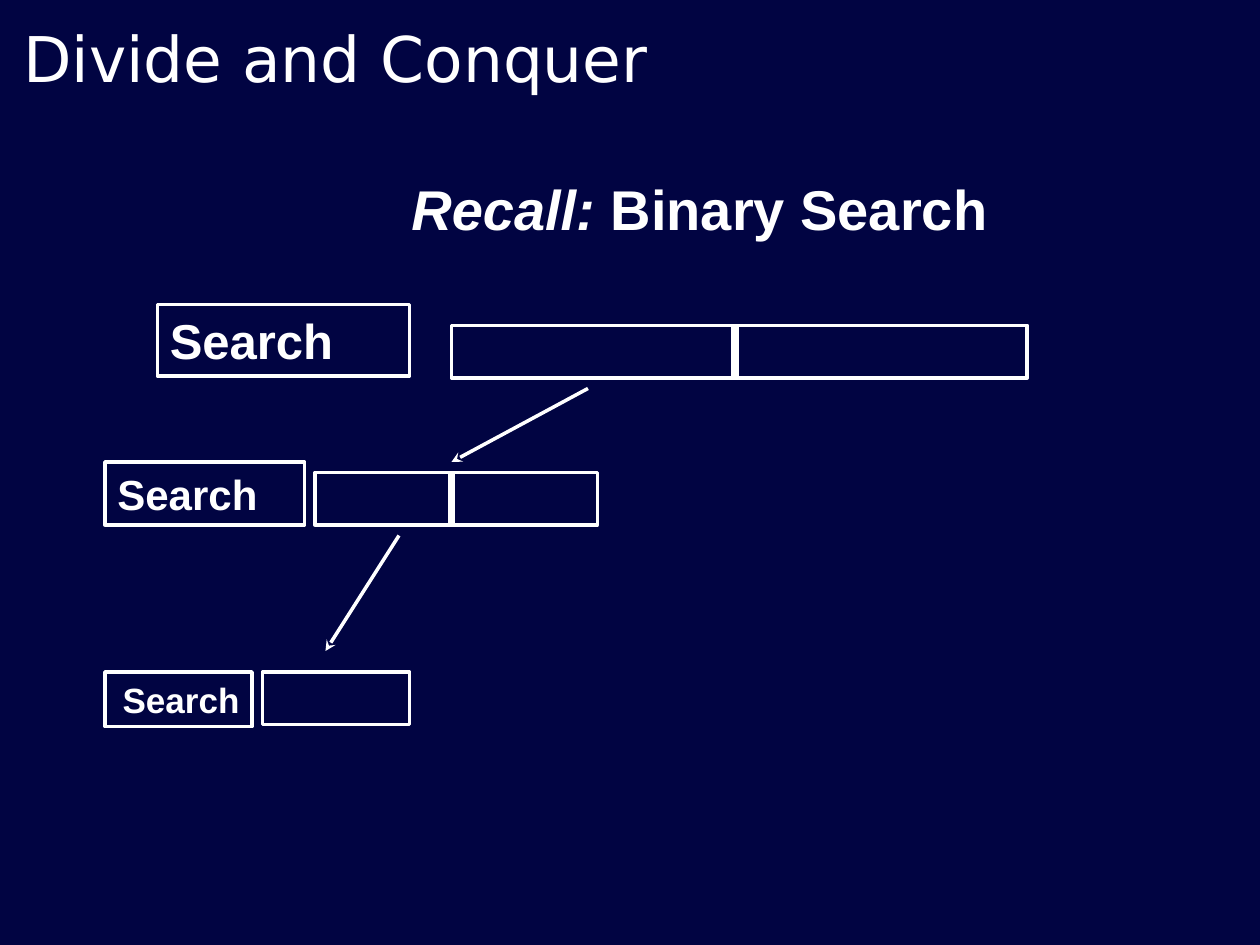
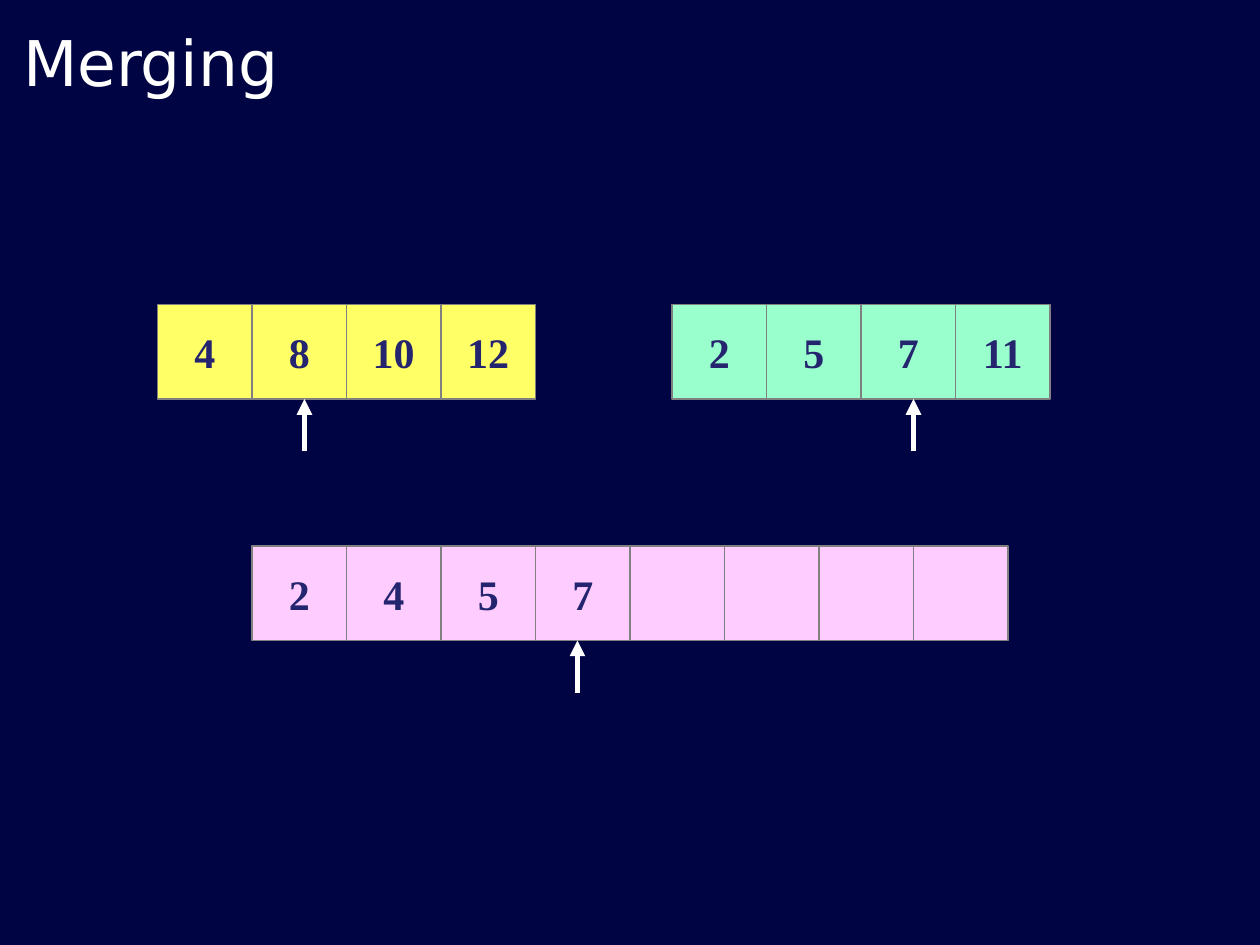
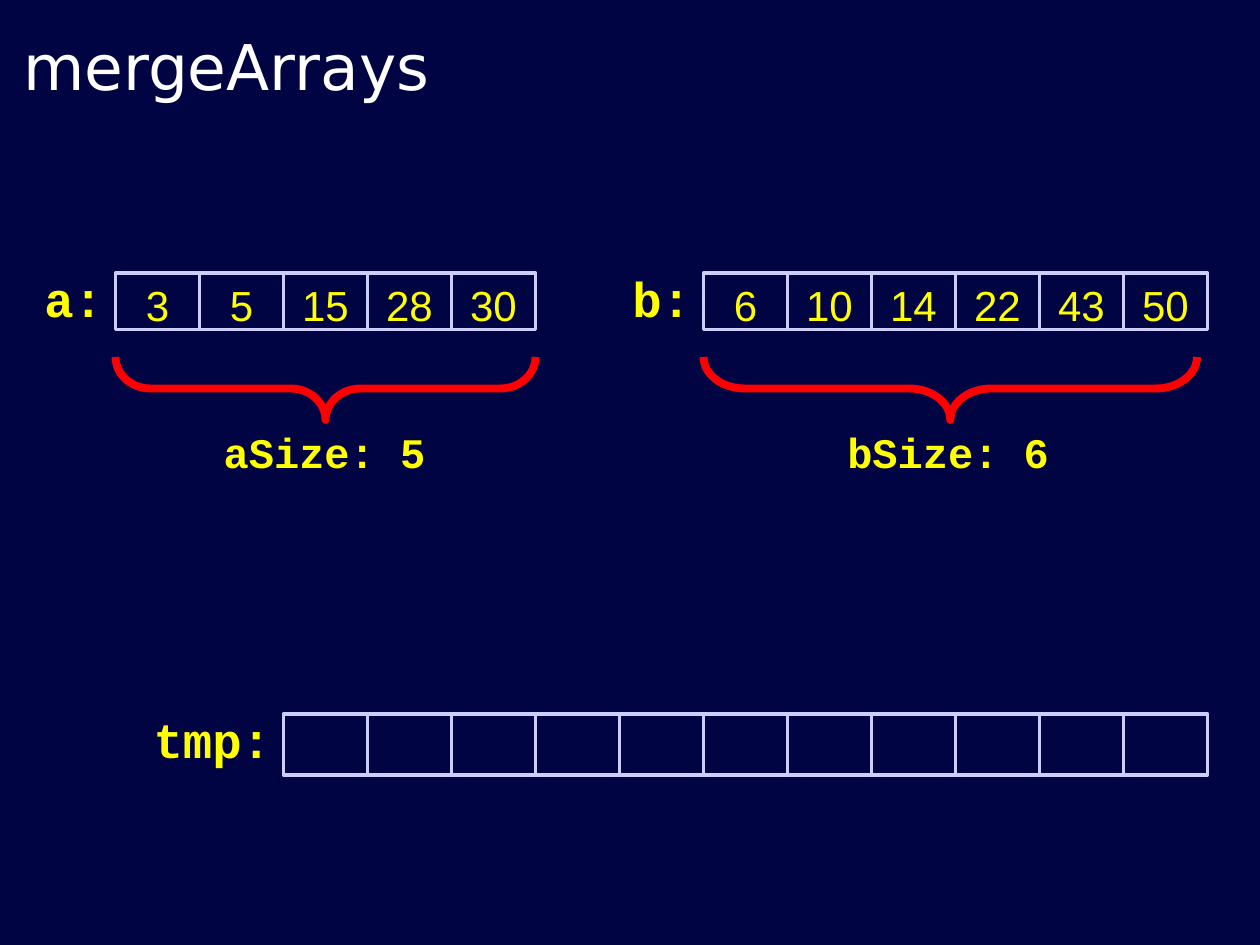
"""Build three slides on binary search and merging sorted arrays."""
from lxml import etree
from pptx import Presentation
from pptx import util as u
from pptx.dml.color import RGBColor
from pptx.enum import shapes, text
from pptx.oxml.ns import qn

NAVY = RGBColor(0x01, 0x04, 0x42)
WHITE = RGBColor(0xFF, 0xFF, 0xFF)
YELLOW = RGBColor(0xFF, 0xFF, 0x00)
RED = RGBColor(0xFF, 0x00, 0x00)
LAVENDER = RGBColor(0xCC, 0xCC, 0xFF)
GRAY = RGBColor(0x80, 0x80, 0x80)
INDIGO = RGBColor(0x25, 0x25, 0x6F)
LEMON = RGBColor(0xFF, 0xFF, 0x66)
MINT = RGBColor(0x99, 0xFF, 0xCC)
PINK = RGBColor(0xFF, 0xCC, 0xFF)

LEFT, CENTER, RIGHT = text.PP_ALIGN.LEFT, text.PP_ALIGN.CENTER, text.PP_ALIGN.RIGHT
TOP, MIDDLE, BOTTOM = text.MSO_ANCHOR.TOP, text.MSO_ANCHOR.MIDDLE, text.MSO_ANCHOR.BOTTOM

presentation = Presentation()
presentation.slide_width = u.Inches(10)
presentation.slide_height = u.Inches(7.5)
UNIT = presentation.slide_width / 120


def add_box(slide, column, row, columns, rows, parts=(), size=24, font="Arial", color=WHITE,
            bold=True, align=LEFT, anchor=TOP, line=None, weight=2, fill=None):
    """Add a text box, or a rectangle when a line colour is given."""
    frame = [round(UNIT * length) for length in (column, row, columns, rows)]
    if line is None:
        shape = slide.shapes.add_textbox(*frame)
    else:
        shape = slide.shapes.add_shape(shapes.MSO_SHAPE.RECTANGLE, *frame)
        shape.shadow.inherit = False
        shape.line.color.rgb = line
        shape.line.width = u.Pt(weight)
        shape.fill.background()
        if fill is not None:
            shape.fill.solid()
            shape.fill.fore_color.rgb = fill
    shape.text_frame.word_wrap = True
    shape.text_frame.vertical_anchor = anchor
    paragraph = shape.text_frame.paragraphs[0]
    paragraph.alignment = align
    for part in parts:
        run = paragraph.add_run()
        run.text = part
        run.font.name = font
        run.font.size = u.Pt(size)
        run.font.bold = bold
        run.font.color.rgb = color
    return shape


def add_line(slide, start, end, weight, head=None):
    """Add a white line, with an arrowhead at its end if one is named."""
    points = [round(UNIT * length) for length in (*start, *end)]
    connector = slide.shapes.add_connector(shapes.MSO_CONNECTOR.STRAIGHT, *points)
    connector.line.color.rgb = WHITE
    connector.line.width = u.Pt(weight)
    if head:
        etree.SubElement(connector.line._get_or_add_ln(), qn("a:tailEnd"), type=head)
    etree.SubElement(connector._element.spPr, qn("a:effectLst"))


background = presentation.slide_master.background.fill
background.solid()
background.fore_color.rgb = NAVY

slides = []
for heading, row, columns, rows, anchor in (
    ("Divide and Conquer", 1, 102, 9, MIDDLE),
    ("Merging", 1, 108.7, 9, BOTTOM),
    ("mergeArrays", 2, 102, 8, TOP),
):
    slide = presentation.slides.add_slide(presentation.slide_layouts[5])
    title = slide.shapes.title
    title.left, title.top = round(UNIT), round(UNIT * row)
    title.width, title.height = round(UNIT * columns), round(UNIT * rows)
    title.text_frame.text = heading
    title.text_frame.auto_size = text.MSO_AUTO_SIZE.NONE
    title.text_frame.vertical_anchor = anchor
    paragraph = title.text_frame.paragraphs[0]
    paragraph.alignment = LEFT
    font = paragraph.runs[0].font
    font.name, font.size, font.color.rgb = "DejaVu Sans", u.Pt(36), WHITE
    slides.append(slide)
search_slide, merging_slide, arrays_slide = slides

recall = add_box(search_slide, 38, 16, 61, 7, ("Recall: ", "Binary Search"), 32)
recall.text_frame.paragraphs[0].runs[0].font.italic = True

for column, row, columns, rows, size, align in (
    (15, 29, 24, 6.84, 28, LEFT),
    (10, 44, 19, 6, 24, LEFT),
    (10, 64, 14, 5.2, 20, RIGHT),
):
    add_box(search_slide, column, row, columns, rows, ("Search",), size, align=align, line=WHITE)
for column, row, columns in ((43, 31, 54.84), (30, 45, 26.9), (25, 64, 14)):
    add_box(search_slide, column, row, columns, 5, line=WHITE)
for column, row in ((70, 31), (43, 45)):
    add_line(search_slide, (column, row), (column, row + 5), 4.5)
for start, end in (((56, 37), (43, 44)), ((38, 51), (31, 62))):
    add_line(search_slide, start, end, 2, "stealth")

CELL = 9
for column, row, fill, values, pointer in (
    (15, 29, LEMON, ("4", "8", "10", "12"), 29),
    (64, 29, MINT, ("2", "5", "7", "11"), 87),
    (24, 52, PINK, ("2", "4", "5", "7", "", "", "", ""), 55),
):
    for index, value in enumerate(values):
        add_box(merging_slide, column + index * CELL, row, CELL, CELL, (value,) if value else (),
                font="Times New Roman", color=INDIGO, align=CENTER, anchor=MIDDLE,
                line=GRAY, weight=0.75, fill=fill)
    add_line(merging_slide, (pointer, row + CELL + 5), (pointer, row + CELL), 3, "triangle")

SLOT = 8
for name, name_column, name_columns, column, row, rows, values in (
    ("a:", 2, 9, 11, 26, 5.4, ("3", "5", "15", "28", "30")),
    ("b:", 58, 9, 67, 26, 5.4, ("6", "10", "14", "22", "43", "50")),
    ("tmp:", 2, 25, 27, 68, 5.8, ("",) * 11),
):
    add_box(arrays_slide, name_column, row - 1, name_columns, 6.84, (name,), 28, "Courier New",
            YELLOW, align=RIGHT)
    for index, value in enumerate(values):
        add_box(arrays_slide, column + index * SLOT, row, SLOT, rows, (value,) if value else (),
                color=YELLOW, bold=False, align=CENTER, line=LAVENDER)

DEPTH = 6
for label, label_column, label_columns, column, span in (
    ("aSize: 5", 19, 23.8, 11, 40),
    ("bSize: 6", 76.4, 27.8, 67, 47),
):
    brace = arrays_slide.shapes.add_shape(
        shapes.MSO_SHAPE.RIGHT_BRACE,
        round(UNIT * (column + (span - DEPTH) / 2)), round(UNIT * (34 - (span - DEPTH) / 2)),
        round(UNIT * DEPTH), round(UNIT * span))
    brace.rotation = 90
    brace.adjustments[0] = span / DEPTH / 12
    brace.shadow.inherit = False
    brace.fill.background()
    brace.line.color.rgb = RED
    brace.line.width = u.Pt(4.5)
    add_box(arrays_slide, label_column, 40, label_columns, 6, (label,), font="Courier New",
            color=YELLOW, align=CENTER)

presentation.save("out.pptx")
